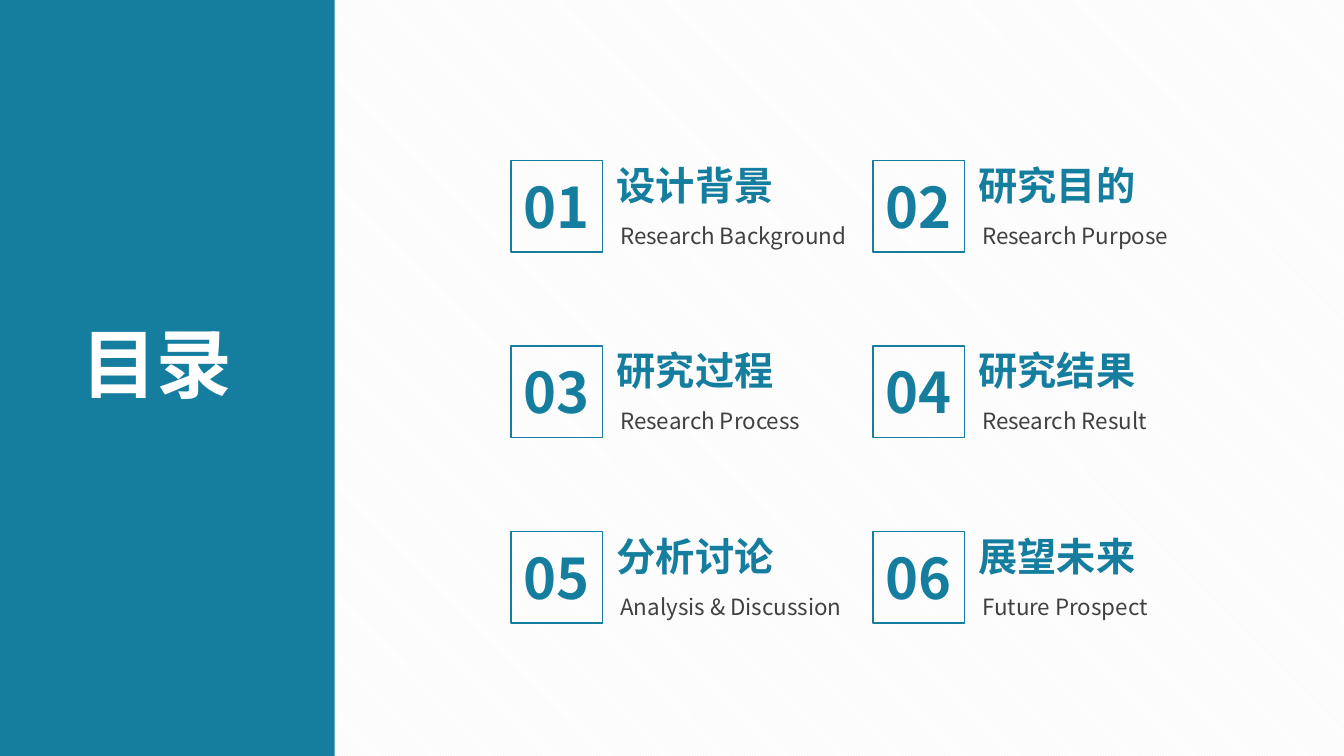
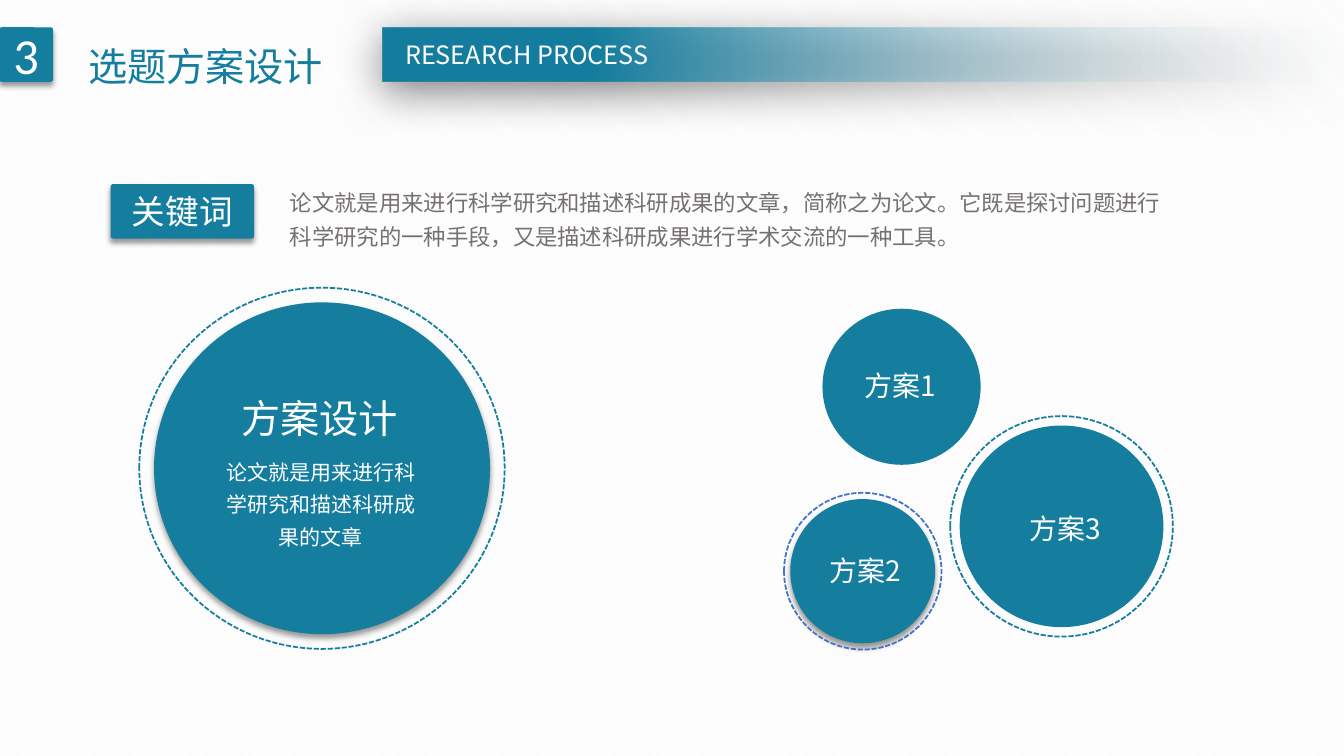
from lxml.etree import SubElement
from pptx import Presentation
from pptx.dml.color import RGBColor
from pptx.enum.dml import MSO_LINE, MSO_PATTERN
from pptx.enum.shapes import MSO_SHAPE
from pptx.enum.text import MSO_ANCHOR, PP_ALIGN
from pptx.oxml.ns import qn
from pptx.util import Pt

TEAL = RGBColor(0x15, 0x7E, 0x9F)
BLUE = RGBColor(0x44, 0x72, 0xC4)
WHITE = RGBColor(0xFF, 0xFF, 0xFF)
PALE = RGBColor(0xF7, 0xFA, 0xFD)
STRIPE = RGBColor(0xF2, 0xF2, 0xF2)
DARK = RGBColor(0x40, 0x40, 0x40)
GREY = RGBColor(0x76, 0x71, 0x71)

SANS = "Noto Sans CJK SC"
CONTENTS_TITLE = {"name": SANS, "size": Pt(54), "bold": True}
NUMBER = {"name": SANS, "size": Pt(40), "bold": True}
HEADING = {"name": SANS, "size": Pt(28), "bold": True}
TITLE = {"name": SANS, "size": Pt(28)}
LABEL = {"name": SANS, "size": Pt(20)}
BANNER = {"name": SANS, "size": Pt(18)}
BODY = {"name": SANS, "size": Pt(16)}
SMALL_BODY = {"name": SANS, "size": Pt(15)}
BADGE = {"name": "Calibri", "size": Pt(36)}
TAG = {"name": "Calibri", "size": Pt(24)}

SOFT_SHADOW = {"alpha": 40, "blur": 4, "distance": 3, "angle": 90}
WIDE_SHADOW = {"alpha": 50, "blur": 31, "distance": 6, "angle": 97}


def add_shape(slide, kind, box, fill=None, line=None, line_width=1, dash=None, shadow=None):
    shape = slide.shapes.add_shape(kind, *map(Pt, box))
    shape.shadow.inherit = False
    if fill is None:
        shape.fill.background()
    else:
        shape.fill.solid()
        shape.fill.fore_color.rgb = fill
    if line is None:
        shape.line.fill.background()
    else:
        shape.line.color.rgb = line
        shape.line.width = Pt(line_width)
        shape.line.dash_style = dash
    if shadow:
        effects = shape.element.spPr.find(qn("a:effectLst"))
        outer = SubElement(effects, qn("a:outerShdw"), {
            "blurRad": str(Pt(shadow["blur"])),
            "dist": str(Pt(shadow["distance"])),
            "dir": str(shadow["angle"] * 60000),
            "algn": "t",
            "rotWithShape": "0",
        })
        color = SubElement(outer, qn("a:srgbClr"), val="000000")
        SubElement(color, qn("a:alpha"), val=str(shadow["alpha"] * 1000))
    return shape


def write_text(shape, text, style, color, align=PP_ALIGN.LEFT, wrap=True, spacing=None):
    shape.text_frame.word_wrap = wrap
    paragraph = shape.text_frame.paragraphs[0]
    paragraph.alignment = align
    paragraph.line_spacing = spacing
    run = paragraph.add_run()
    run.text = text
    for name, value in style.items():
        setattr(run.font, name, value)
    run.font.color.rgb = color
    SubElement(run.font._element, qn("a:ea"), typeface=SANS)


presentation = Presentation()
presentation.slide_width = Pt(960)
presentation.slide_height = Pt(540)

slides = []
for _ in range(2):
    slide = presentation.slides.add_slide(presentation.slide_layouts[6])
    background = slide.background.fill
    background.patterned()
    background.pattern = MSO_PATTERN.DARK_DOWNWARD_DIAGONAL
    background.fore_color.rgb = STRIPE
    background.back_color.rgb = WHITE
    slides.append(slide)
contents, design = slides

add_shape(contents, MSO_SHAPE.RECTANGLE, (0, 0, 239, 540), TEAL)
contents_title = contents.shapes.add_textbox(Pt(51), Pt(222.5), Pt(124), Pt(73))
write_text(contents_title, "目录", CONTENTS_TITLE, WHITE, wrap=False)

chapters = [
    ("设计背景", "Research Background"),
    ("研究目的", "Research Purpose"),
    ("研究过程", "Research Process"),
    ("研究结果", "Research Result"),
    ("分析讨论", "Analysis & Discussion"),
    ("展望未来", "Future Prospect"),
]
for index, (heading, subtitle) in enumerate(chapters):
    row, column = divmod(index, 2)
    left = 365 + 258.5 * column
    top = 114.5 + 132.5 * row
    add_shape(contents, MSO_SHAPE.RECTANGLE, (left, top, 65.5, 65.5), line=TEAL)
    for text, box, style, color, align in [
        (f"{index + 1:02}", (left, top + 5, 65.5, 55.5), NUMBER, TEAL, PP_ALIGN.CENTER),
        (heading, (left + 68.5, top - 3, 188.5, 41), HEADING, TEAL, PP_ALIGN.LEFT),
        (subtitle, (left + 71, top + 40.5, 188.5, 26.5), BODY, DARK, PP_ALIGN.LEFT),
    ]:
        write_text(contents.shapes.add_textbox(*map(Pt, box)), text, style, color, align)

banner = add_shape(design, MSO_SHAPE.RECTANGLE, (273.5, 20, 686.5, 38.5), TEAL, shadow=WIDE_SHADOW)
banner.fill.gradient()
banner.fill.gradient_angle = 180
for stop, position, color in zip(banner.fill.gradient_stops, (0, 0.78), (PALE, TEAL)):
    stop.position = position
    stop.color.rgb = color
clear_color = next(banner.element.spPr.iter(qn("a:srgbClr")))
SubElement(clear_color, qn("a:alpha"), val="0")

for text, box, style in [
    ("3", (-0.5, 19.5, 38.5, 39), BADGE),
    ("关键词", (79, 131.5, 102.5, 39), TAG),
]:
    tag = add_shape(design, MSO_SHAPE.ROUNDED_RECTANGLE, box, TEAL, shadow=SOFT_SHADOW)
    tag.adjustments[0] = 0.05
    tag.text_frame.vertical_anchor = MSO_ANCHOR.MIDDLE
    write_text(tag, text, style, WHITE, PP_ALIGN.CENTER)

circles = [
    ((110, 216, 240, 237), 10.5, TEAL, SOFT_SHADOW),
    ((587.5, 220.5, 113, 111.5), None, None, None),
    ((564.5, 356.5, 103.5, 103), 4.5, BLUE, SOFT_SHADOW),
    ((685.5, 304, 145.5, 144), 6.75, TEAL, None),
]
for (left, top, width, height), gap, ring_color, shadow in circles:
    add_shape(design, MSO_SHAPE.OVAL, (left, top, width, height), TEAL, shadow=shadow)
    if gap:
        ring = (left - gap, top - gap, width + 2 * gap, height + 2 * gap)
        add_shape(design, MSO_SHAPE.OVAL, ring, None, ring_color, 1.25, MSO_LINE.SQUARE_DOT)

for text, box, style, color, align, wrap, spacing in [
    ("选题方案设计", (56, 10, 185, 58.5), TITLE, TEAL, PP_ALIGN.LEFT, False, 1.5),
    ("RESEARCH PROCESS", (279.5, 24.5, 193.5, 29), BANNER, WHITE, PP_ALIGN.CENTER, False, None),
    ("论文就是用来进行科学研究和描述科研成果的文章，简称之为论文。"
     "它既是探讨问题进行科学研究的一种手段，又是描述科研成果进行学术交流的一种工具。",
     (200, 125.5, 648.5, 57.5), BODY, GREY, PP_ALIGN.LEFT, True, 1.3),
    ("方案设计", (165.5, 261.5, 127.5, 58.5), TITLE, WHITE, PP_ALIGN.LEFT, False, 1.5),
    ("论文就是用来进行科学研究和描述科研成果的文章",
     (151, 319, 156, 78), SMALL_BODY, WHITE, PP_ALIGN.CENTER, True, 1.3),
    ("方案1", (610.5, 260, 80, 31.5), LABEL, WHITE, PP_ALIGN.LEFT, True, None),
    ("方案2", (585.5, 391.5, 80, 31.5), LABEL, WHITE, PP_ALIGN.LEFT, True, None),
    ("方案3", (728, 362, 80, 31.5), LABEL, WHITE, PP_ALIGN.LEFT, True, None),
]:
    text_box = design.shapes.add_textbox(*map(Pt, box))
    write_text(text_box, text, style, color, align, wrap, spacing)

presentation.save("out.pptx")
